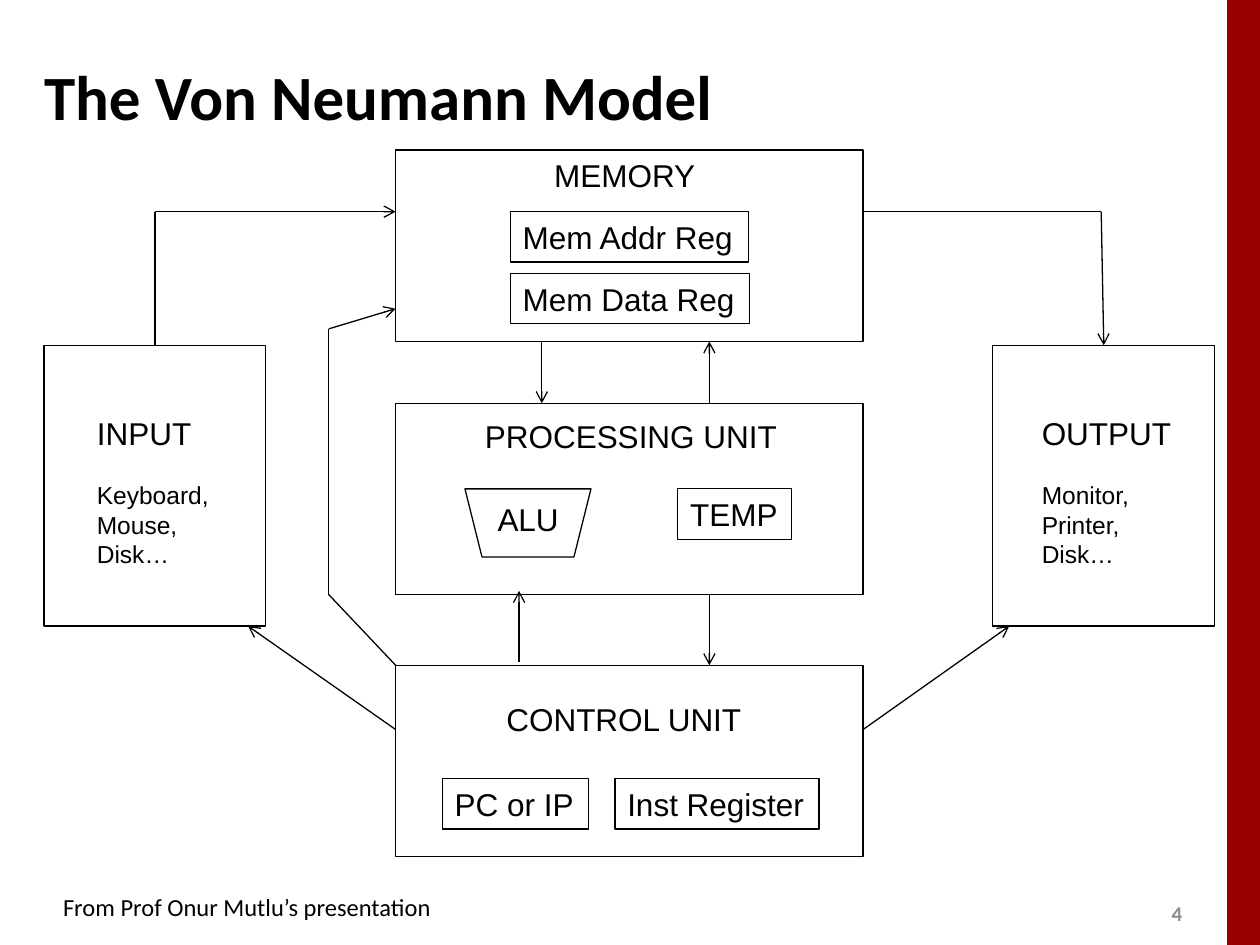
from dataclasses import dataclass

from lxml import etree
from pptx import Presentation
from pptx.dml.color import RGBColor
from pptx.enum.shapes import MSO_CONNECTOR, MSO_SHAPE
from pptx.enum.text import MSO_ANCHOR, PP_ALIGN
from pptx.oxml.ns import qn
from pptx.util import Inches, Pt

RECTANGLE, TRAPEZOID = MSO_SHAPE.RECTANGLE, MSO_SHAPE.TRAPEZOID
STRAIGHT = MSO_CONNECTOR.STRAIGHT
TOP, MIDDLE = MSO_ANCHOR.TOP, MSO_ANCHOR.MIDDLE
LEFT = PP_ALIGN.LEFT
TOP_SIDE = 0


@dataclass(frozen=True)
class Theme:
    ink: RGBColor = RGBColor(0x00, 0x00, 0x00)
    bar: RGBColor = RGBColor(0x99, 0x00, 0x00)
    muted: RGBColor = RGBColor(0x8C, 0x8C, 0x8C)
    title_size: Pt = Pt(36)
    label_size: Pt = Pt(18)
    small_size: Pt = Pt(14)
    number_size: Pt = Pt(12)
    line_width: Pt = Pt(0.75)
    diagram_font: str = "Arial"
    page_font: str = "Calibri"


theme = Theme()


def write_text(shape, text, size=theme.label_size, font=theme.diagram_font,
               color=theme.ink, bold=False, anchor=TOP, wrap=False,
               inset=None, detail_size=None):
    """Write one paragraph per line; detail_size sets the lines after the first."""
    frame = shape.text_frame
    frame.text = text
    frame.word_wrap = wrap
    frame.vertical_anchor = anchor
    if inset is not None:
        frame.margin_left = frame.margin_right = inset
        frame.margin_top = frame.margin_bottom = inset
    for index, paragraph in enumerate(frame.paragraphs):
        paragraph.alignment = LEFT
        if index == 1:
            paragraph.space_before = Pt(16)
        run_font = paragraph.runs[0].font
        run_font.size = detail_size if index and detail_size else size
        run_font.name = font
        run_font.bold = bold
        run_font.color.rgb = color


def add_outline(shapes, kind, left, top, width, height):
    shape = shapes.add_shape(kind, Inches(left), Inches(top), Inches(width), Inches(height))
    shape.shadow.inherit = False
    shape.fill.background()
    shape.line.color.rgb = theme.ink
    shape.line.width = theme.line_width
    return shape


presentation = Presentation()
presentation.slide_width = Inches(10)
presentation.slide_height = Inches(7.5)
slide = presentation.slides.add_slide(presentation.slide_layouts[5])
shapes = slide.shapes

# Page furniture
side_bar = shapes.add_shape(RECTANGLE, Inches(9.74), Inches(0), Inches(0.26), Inches(7.5))
side_bar.shadow.inherit = False
side_bar.fill.solid()
side_bar.fill.fore_color.rgb = theme.bar
side_bar.line.fill.background()

title = shapes.title
title.left, title.top = Inches(0.25), Inches(0.17)
title.width, title.height = Inches(9.75), Inches(1.17)
write_text(title, "The Von Neumann Model", size=theme.title_size,
           font=theme.page_font, bold=True, anchor=MIDDLE, wrap=True)

slide_number = shapes.add_textbox(Inches(9.2), Inches(7.1), Inches(0.4), Inches(0.3))
write_text(slide_number, "4", size=theme.number_size, font=theme.page_font,
           color=theme.muted, bold=True, anchor=MIDDLE, wrap=True)

credit = shapes.add_textbox(Inches(0.5), Inches(7.08), Inches(2.95), Inches(0.24))
write_text(credit, "From Prof Onur Mutlu’s presentation", size=theme.small_size,
           font=theme.page_font, inset=0)

# Units: the three central ones share a column, the two devices share a row
unit_left, unit_width, unit_height = 3.14, 3.71, 1.52
unit_right = unit_left + unit_width
memory_top, processing_top, control_top = 1.19, 3.2, 5.28
memory_bottom, processing_bottom = memory_top + unit_height, processing_top + unit_height
for top in (memory_top, processing_top, control_top):
    add_outline(shapes, RECTANGLE, unit_left, top, unit_width, unit_height)

device_top, device_width, device_height = 2.74, 1.76, 2.23
device_bottom = device_top + device_height
input_box, output_box = (
    add_outline(shapes, RECTANGLE, left, device_top, device_width, device_height)
    for left in (0.35, 7.88)
)
add_outline(shapes, TRAPEZOID, 3.69, 3.88, 1, 0.54).rotation = 180

# Labels and registers
label_height = 0.4
labels = [
    ("MEMORY", 4.3, 1.19, 1.33),
    ("PROCESSING UNIT", 3.75, 3.26, 2.54),
    ("ALU", 3.85, 3.92, 0.69),
    ("CONTROL UNIT", 3.92, 5.51, 2.09),
]
for text, left, top, width in labels:
    label = shapes.add_textbox(Inches(left), Inches(top), Inches(width), Inches(label_height))
    write_text(label, text)

registers = [
    ("Mem Addr Reg", 4.05, 1.68, 1.89),
    ("Mem Data Reg", 4.05, 2.17, 1.9),
    ("TEMP", 5.38, 3.88, 0.9),
    ("PC or IP", 3.51, 6.18, 1.16),
    ("Inst Register", 4.88, 6.18, 1.62),
]
for text, left, top, width in registers:
    write_text(add_outline(shapes, RECTANGLE, left, top, width, label_height), text)

devices = [
    ("INPUT\nKeyboard,\nMouse,\nDisk…", 0.67, 1.09),
    ("OUTPUT\nMonitor,\nPrinter,\nDisk…", 8.17, 1.24),
]
for text, left, width in devices:
    device = shapes.add_textbox(Inches(left), Inches(3.24), Inches(width), Inches(1.35))
    write_text(device, text, detail_size=theme.small_size)

# Flows: each route is a chain of points with an arrowhead at its end
input_middle, output_middle = 1.23, 8.76
bus_y, control_exit_y, bypass_x = 1.68, 5.79, 2.61
routes = [
    [(4.3, memory_bottom), (4.3, processing_top)],
    [(5.63, processing_top), (5.63, memory_bottom)],
    [(4.12, 5.25), (4.12, 4.69)],
    [(5.63, processing_bottom), (5.63, control_top)],
    [(input_middle, device_top), (input_middle, bus_y), (unit_left, bus_y)],
    [(unit_right, bus_y), (8.74, bus_y), (output_middle, device_top)],
    [(unit_left, control_exit_y), (1.97, device_bottom)],
    [(unit_right, control_exit_y), (8.01, device_bottom)],
    [(unit_left, control_top), (bypass_x, processing_bottom), (bypass_x, 2.61),
     (unit_left, 2.45)],
]
for route in routes:
    for start, end in zip(route, route[1:]):
        connector = shapes.add_connector(STRAIGHT, *map(Inches, start + end))
        connector.line.color.rgb = theme.ink
        connector.line.width = theme.line_width
        if start == (input_middle, device_top):
            connector.begin_connect(input_box, TOP_SIDE)
        if end == (output_middle, device_top):
            connector.end_connect(output_box, TOP_SIDE)
        if end == route[-1]:
            etree.SubElement(connector.line._get_or_add_ln(), qn("a:tailEnd"), type="arrow")
        etree.SubElement(connector._element.spPr, qn("a:effectLst"))

presentation.save("out.pptx")
